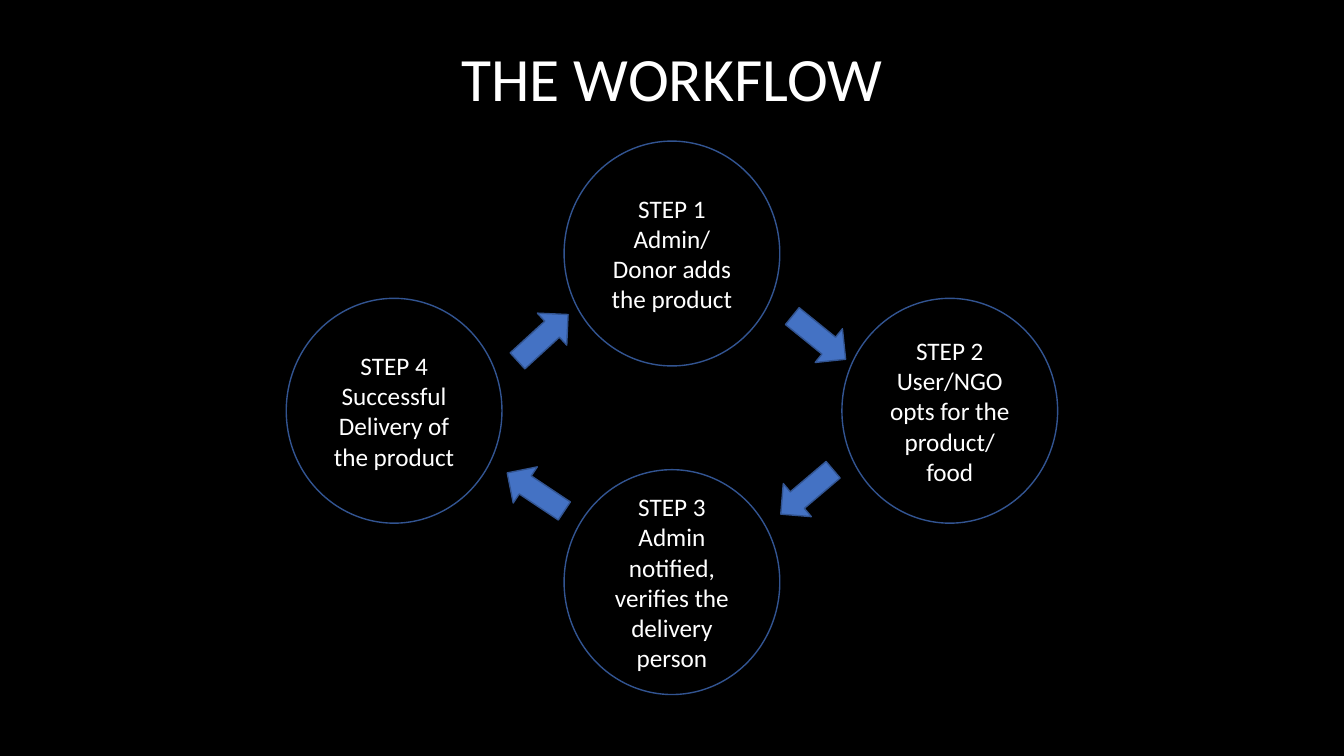
from collections import namedtuple
from dataclasses import dataclass

from pptx import Presentation
from pptx.dml.color import RGBColor
from pptx.enum.shapes import MSO_SHAPE
from pptx.enum.text import MSO_ANCHOR, MSO_AUTO_SIZE, PP_ALIGN
from pptx.util import Pt

ELLIPSE = MSO_SHAPE.OVAL
ARROW = MSO_SHAPE.DOWN_ARROW
CENTER = PP_ALIGN.CENTER
MIDDLE = MSO_ANCHOR.MIDDLE
NO_FIT = MSO_AUTO_SIZE.NONE

Box = namedtuple("Box", "left top width height")


@dataclass(frozen=True)
class Theme:
    font: str = "Calibri"
    background: RGBColor = RGBColor(0, 0, 0)
    text: RGBColor = RGBColor(255, 255, 255)
    outline: RGBColor = RGBColor(0x32, 0x54, 0x91)
    arrow: RGBColor = RGBColor(0x44, 0x72, 0xC4)
    title_size: int = 44
    step_size: int = 18
    line_width: int = 1


THEME = Theme()
CIRCLE_WIDTH, CIRCLE_HEIGHT = 154.1, 160.6
ARROW_WIDTH, ARROW_HEIGHT = 31, 49
SIDE_DROP = 112.3
UPPER_ARROW, LOWER_ARROW = 140.4, 250.6

STEPS = {
    "top": ["STEP 1", "Admin/", "Donor adds the product"],
    "right": ["STEP 2", "User/NGO opts for the product/", "food"],
    "bottom": ["STEP 3", "Admin notified,", "verifies the delivery person"],
    "left": ["STEP 4", "Successful Delivery of the product"],
}
ARROWS = [
    (105, UPPER_ARROW, 309),
    (96.4, LOWER_ARROW, 49.7),
    (-97.3, LOWER_ARROW, 123.7),
    (-92.3, UPPER_ARROW, 227.5),
]


def write_lines(frame, lines, size):
    frame.word_wrap = True
    frame.auto_size = NO_FIT
    frame.vertical_anchor = MIDDLE
    for index, line in enumerate(lines):
        para = frame.paragraphs[0] if index == 0 else frame.add_paragraph()
        para.alignment = CENTER
        span = para.add_run()
        span.text = line
        span.font.name = THEME.font
        span.font.size = Pt(size)
        span.font.color.rgb = THEME.text


def add_outlined(page, kind, box):
    shape = page.shapes.add_shape(kind, *(Pt(length) for length in box))
    shape.shadow.inherit = False
    shape.line.color.rgb = THEME.outline
    shape.line.width = Pt(THEME.line_width)
    return shape


def add_title(page, box):
    title = page.shapes.title
    title.left, title.top, title.width, title.height = (Pt(length) for length in box)
    write_lines(title.text_frame, ["THE WORKFLOW"], THEME.title_size)
    title.text_frame.paragraphs[0].line_spacing = 0.9


def add_step(page, box, lines):
    circle = add_outlined(page, ELLIPSE, box)
    circle.fill.background()
    write_lines(circle.text_frame, lines, THEME.step_size)


def add_arrow(page, box, angle):
    arrow = add_outlined(page, ARROW, box)
    arrow.fill.solid()
    arrow.fill.fore_color.rgb = THEME.arrow
    arrow.rotation = angle


def add_cycle(page, box):
    middle = box.left + box.width / 2
    center_left = middle - CIRCLE_WIDTH / 2
    side_top = box.top + SIDE_DROP
    corners = {
        "top": (center_left, box.top),
        "right": (box.left + box.width - CIRCLE_WIDTH, side_top),
        "bottom": (center_left, box.top + box.height - CIRCLE_HEIGHT),
        "left": (box.left, side_top),
    }
    for place, lines in STEPS.items():
        add_step(page, Box(*corners[place], CIRCLE_WIDTH, CIRCLE_HEIGHT), lines)
    for shift, drop, angle in ARROWS:
        left = middle + shift - ARROW_WIDTH / 2
        top = box.top + drop - ARROW_HEIGHT / 2
        add_arrow(page, Box(left, top, ARROW_WIDTH, ARROW_HEIGHT), angle)


def main():
    deck = Presentation()
    deck.slide_width, deck.slide_height = Pt(960), Pt(540)
    page = deck.slides.add_slide(deck.slide_layouts[5])
    page.background.fill.solid()
    page.background.fill.fore_color.rgb = THEME.background
    add_title(page, Box(66, 5.8, 828, 104.4))
    add_cycle(page, Box(204.5, 100.8, 551, 395.3))
    deck.save("out.pptx")


if __name__ == "__main__":
    main()
